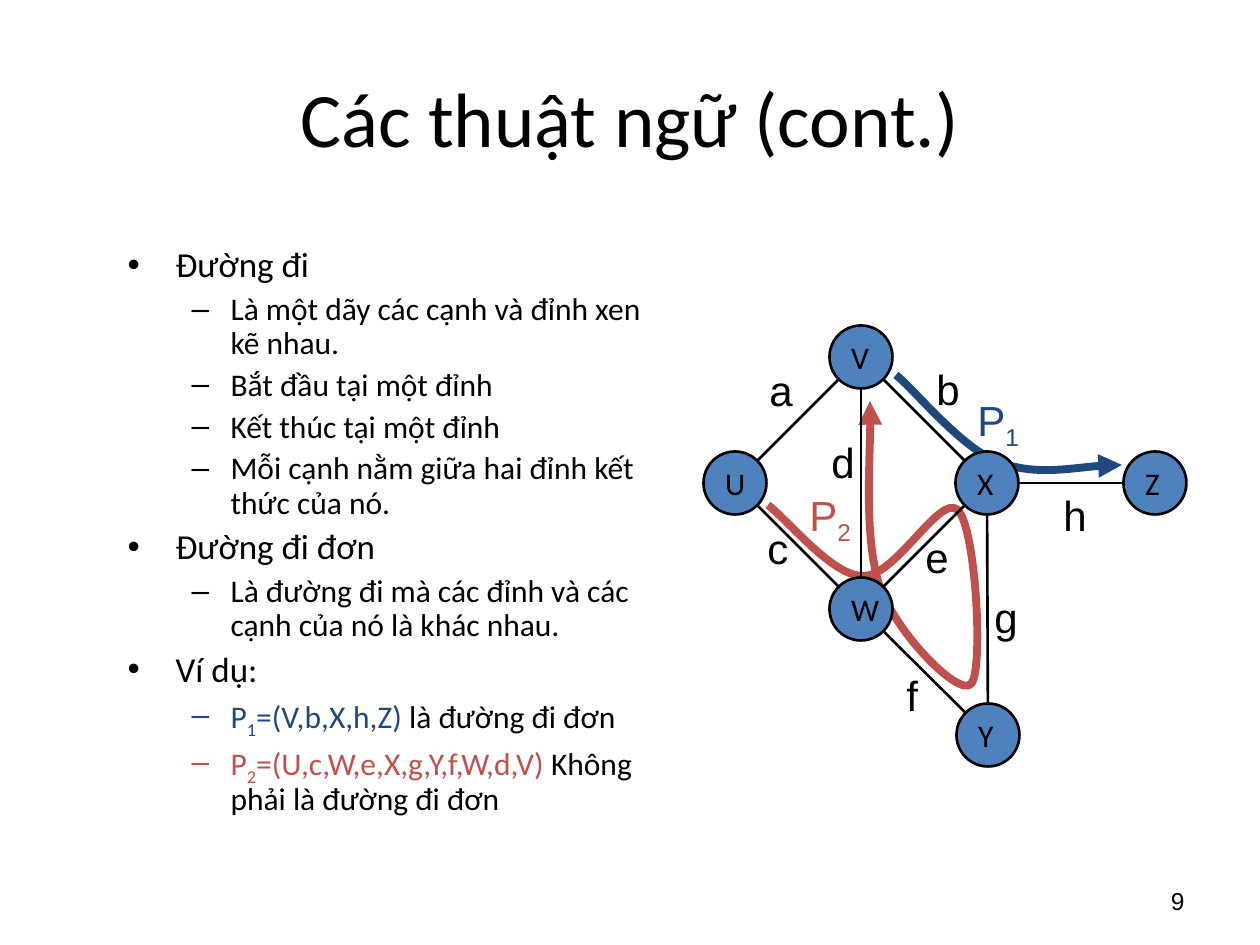
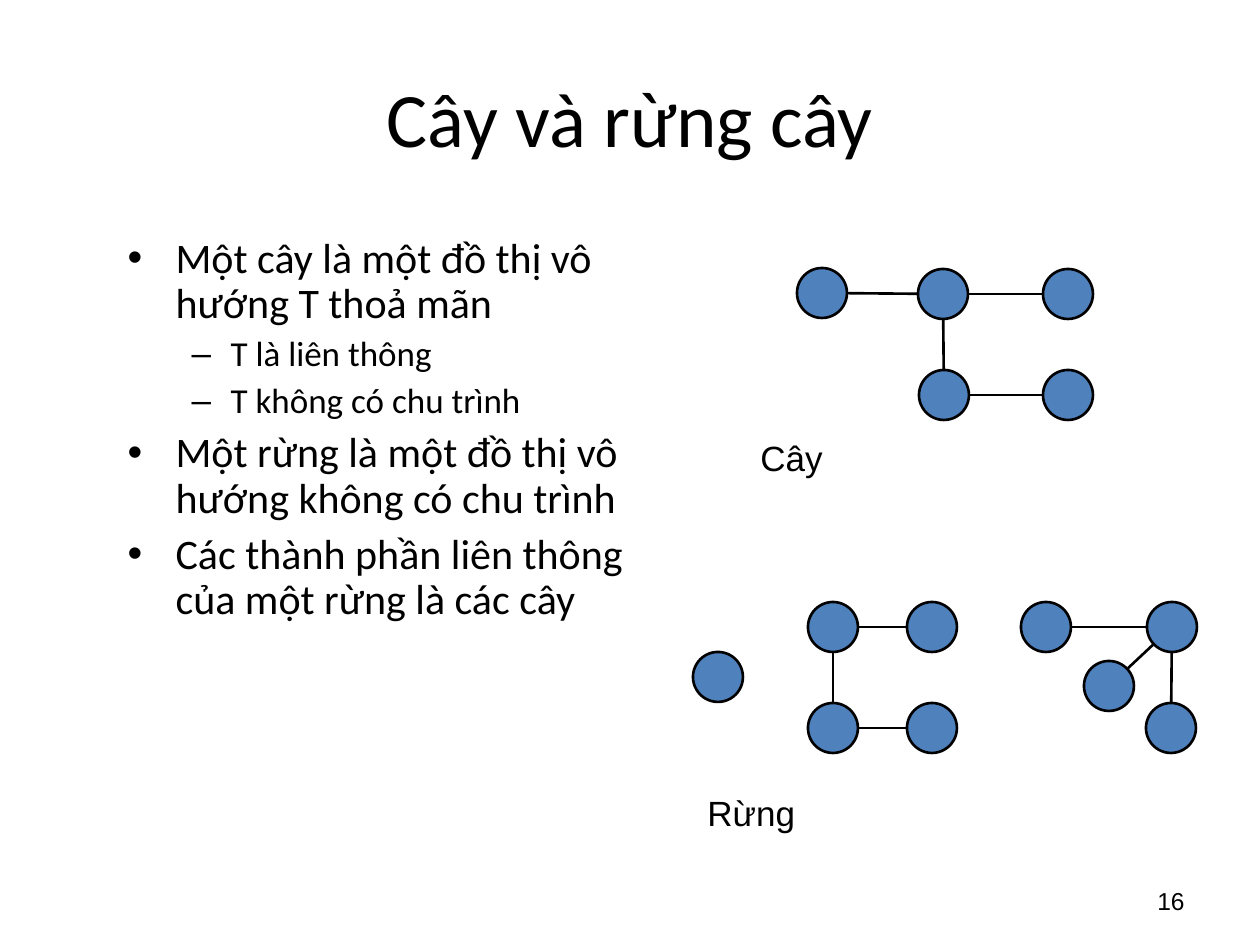
import math

from lxml import etree
from pptx import Presentation
from pptx import util as u
from pptx.dml.color import RGBColor
from pptx.enum import shapes, text
from pptx.oxml.ns import qn

BLACK = RGBColor(0x00, 0x00, 0x00)
NODE = RGBColor(0x4F, 0x81, 0xBD)
NAVY = RGBColor(0x1F, 0x49, 0x7D)
RED = RGBColor(0xC0, 0x50, 0x4D)
PX = u.Inches(1) / 126


def px(*values):
    return [u.Emu(round(v * PX)) for v in values]


class Deck:
    head_font = "Calibri"
    label_font = "Arial"
    line_width = u.Pt(1.5)

    def __init__(self):
        self.prs = Presentation()
        self.prs.slide_width, self.prs.slide_height = px(1260, 945)
        self.s = None

    def slide(self, title, number):
        self.s = self.prs.slides.add_slide(self.prs.slide_layouts[1])
        sp = self.s.shapes.title
        sp.left, sp.top, sp.width, sp.height = px(63, 38, 1134, 157)
        tf = sp.text_frame
        tf.text = title
        tf.auto_size = text.MSO_AUTO_SIZE.NONE
        tf.vertical_anchor = text.MSO_ANCHOR.MIDDLE
        tf.paragraphs[0].alignment = text.PP_ALIGN.CENTER
        self.font(tf.paragraphs[0].runs[0], 44, self.head_font)
        tf = self.label(number, (903, 876, 294, 50), 14, wrap=True)
        tf.auto_size = text.MSO_AUTO_SIZE.NONE
        tf.vertical_anchor = text.MSO_ANCHOR.MIDDLE
        tf.paragraphs[0].alignment = text.PP_ALIGN.RIGHT

    def font(self, r, size, name, color=BLACK):
        r.font.size = u.Pt(size)
        r.font.name = name
        r.font.color.rgb = color

    def runs(self, p, content, size, name):
        parts = [(content, BLACK, False)] if isinstance(content, str) else content
        for part, color, is_sub in parts:
            r = p.add_run()
            r.text = part
            self.font(r, size, name, color)
            if is_sub:
                r._r.get_or_add_rPr().set("baseline", "-25000")
        return parts[0][1]

    def bullets(self, box, sizes, items):
        sp = self.s.placeholders[1]
        sp.left, sp.top, sp.width, sp.height = px(*box)
        tf = sp.text_frame
        tf.auto_size = text.MSO_AUTO_SIZE.NONE
        for i, (level, content) in enumerate(items):
            p = tf.paragraphs[0] if i == 0 else tf.add_paragraph()
            size = sizes[level]
            color = self.runs(p, content, size, self.head_font)
            p.level = level
            p.line_spacing = 0.9
            p.space_before = u.Pt(size / 4)
            margin, hang = px(*((48, 48), (103, 39))[level])
            pPr = p._p.get_or_add_pPr()
            pPr.set("marL", str(margin))
            pPr.set("indent", str(-hang))
            bullet = etree.SubElement(pPr, qn("a:buClr"))
            etree.SubElement(bullet, qn("a:srgbClr")).set("val", str(color))
            etree.SubElement(pPr, qn("a:buFont")).set("typeface", "Arial")
            etree.SubElement(pPr, qn("a:buChar")).set("char", "•–"[level])

    def label(self, content, box, size, wrap=False):
        tf = self.s.shapes.add_textbox(*px(*box)).text_frame
        tf.word_wrap = wrap
        tf.auto_size = text.MSO_AUTO_SIZE.SHAPE_TO_FIT_TEXT
        self.runs(tf.paragraphs[0], content, size, self.label_font)
        return tf

    def node(self, target, center, diameter, name=""):
        x, y = center
        sp = target.add_shape(
            shapes.MSO_SHAPE.OVAL,
            *px(x - diameter / 2, y - diameter / 2, diameter, diameter))
        sp.shadow.inherit = False
        sp.fill.solid()
        sp.fill.fore_color.rgb = NODE
        sp.line.color.rgb = BLACK
        sp.line.width = self.line_width
        if name:
            tf = sp.text_frame
            tf.text = name
            tf.word_wrap = False
            tf.vertical_anchor = text.MSO_ANCHOR.MIDDLE
            tf.paragraphs[0].alignment = text.PP_ALIGN.LEFT
            self.font(tf.paragraphs[0].runs[0], 18, self.head_font)

    def edge(self, target, start, end, gap):
        (x1, y1), (x2, y2) = start, end
        ratio = gap / math.hypot(x2 - x1, y2 - y1)
        dx, dy = (x2 - x1) * ratio, (y2 - y1) * ratio
        line = target.add_connector(
            shapes.MSO_CONNECTOR.STRAIGHT, *px(x1 + dx, y1 + dy, x2 - dx, y2 - dy))
        line.line.color.rgb = BLACK
        line.line.width = self.line_width
        etree.SubElement(line._element.spPr, qn("a:effectLst"))

    def graph(self, nodes, edges, diameter, named=False, grouped=False):
        target = self.s.shapes
        if grouped:
            target = target.add_group_shape().shapes
        for name, center in nodes.items():
            self.node(target, center, diameter, name if named else "")
        for start, end in edges:
            self.edge(target, nodes[start], nodes[end], diameter / 2 + 1)

    def route(self, points, color, arrow_end):
        start, *rest = [px(*point) for point in points]
        builder = self.s.shapes.build_freeform(*start, scale=1.0)
        builder.add_line_segments(rest, close=False)
        sp = builder.convert_to_shape()
        segments = list(sp._element.iter(qn("a:lnTo")))
        outline = segments[0].getparent()
        for i in range(0, len(segments), 3):
            curve = etree.SubElement(outline, qn("a:cubicBezTo"))
            for segment in segments[i:i + 3]:
                curve.append(segment[0])
                outline.remove(segment)
        sp.shadow.inherit = False
        sp.fill.background()
        sp.line.color.rgb = color
        sp.line.width = u.Pt(4.5)
        etree.SubElement(sp.line._get_or_add_ln(), qn(arrow_end)).set("type", "triangle")


def route_name(digit, color):
    return [("P", color, False), (digit, color, True)]


def terms_slide(deck):
    deck.slide("Các thuật ngữ (cont.)", "9")
    p1, p2 = route_name("1", NAVY), route_name("2", RED)
    deck.bullets((115, 241, 567, 588), (20, 18), [
        (0, "Đường đi"),
        (1, "Là một dãy các cạnh và đỉnh xen kẽ nhau."),
        (1, "Bắt đầu tại một đỉnh"),
        (1, "Kết thúc tại một đỉnh"),
        (1, "Mỗi cạnh nằm giữa hai đỉnh kết thức của nó."),
        (0, "Đường đi đơn"),
        (1, "Là đường đi mà các đỉnh và các cạnh của nó là khác nhau."),
        (0, "Ví dụ:"),
        (1, p1 + [("=(V,b,X,h,Z)", NAVY, False), (" là đường đi đơn", BLACK, False)]),
        (1, p2 + [("=(U,c,W,e,X,g,Y,f,W,d,V)", RED, False),
                  (" Không phải là đường đi đơn", BLACK, False)]),
    ])
    deck.route([(870, 401), (872, 431), (864, 539), (880, 587),
                (897, 634), (959, 697), (971, 684),
                (984, 672), (976, 528), (958, 510),
                (940, 493), (896, 577), (863, 576),
                (832, 576), (788, 520), (768, 505)], RED, "a:headEnd")
    deck.label(p1, (965, 388, 67, 71), 24)
    deck.route([(896, 375), (914, 389), (960, 447), (998, 462),
                (1036, 476), (1096, 464), (1122, 465)], NAVY, "a:tailEnd")
    nodes = {"X": (987, 483), "U": (735, 483), "V": (861, 357),
             "W": (861, 609), "Z": (1155, 483), "Y": (988, 735)}
    deck.graph(nodes, ["VU", "WU", "WX", "XZ", "VX", "VW", "WY", "XY"], 63, named=True)
    edge_labels = {"a": (757, 358, 48), "c": (755, 516, 45), "b": (924, 357, 48),
                   "e": (913, 525, 48), "d": (819, 430, 48), "f": (894, 663, 37),
                   "g": (982, 585, 48), "h": (1051, 483, 48)}
    for name, box in edge_labels.items():
        deck.label(name, (*box, 63), 24)
    deck.label(p2, (797, 483, 67, 71), 24)


def trees_slide(deck):
    deck.slide("Cây và rừng cây", "16")
    deck.bullets((115, 231, 536, 620), (24, 20), [
        (0, "Một cây là một đồ thị vô hướng T thoả mãn"),
        (1, "T là liên thông"),
        (1, "T không có chu trình"),
        (0, "Một rừng là một đồ thị vô hướng không có chu trình"),
        (0, "Các thành phần liên thông của một rừng là các cây"),
    ])
    deck.label("Cây", (748, 430, 394, 55), 20, wrap=True)
    deck.label("Rừng", (695, 785, 503, 55), 20, wrap=True)
    tree = {"A": (822, 293), "B": (943, 294), "C": (1068, 294),
            "D": (944, 395), "E": (1068, 395)}
    deck.graph(tree, ["AB", "BD", "CB", "DE"], 50)
    forest = [
        ({"A": (718, 677)}, []),
        ({"C": (932, 627), "B": (833, 627), "D": (833, 728), "E": (932, 728)},
         ["DB", "CB", "DE"]),
        ({"F": (1046, 627), "G": (1172, 627), "H": (1171, 728), "I": (1109, 686)},
         ["IG", "HG", "FG"]),
    ]
    for nodes, edges in forest:
        deck.graph(nodes, edges, 50, grouped=True)


def main():
    deck = Deck()
    terms_slide(deck)
    trees_slide(deck)
    deck.prs.save("out.pptx")


if __name__ == "__main__":
    main()
